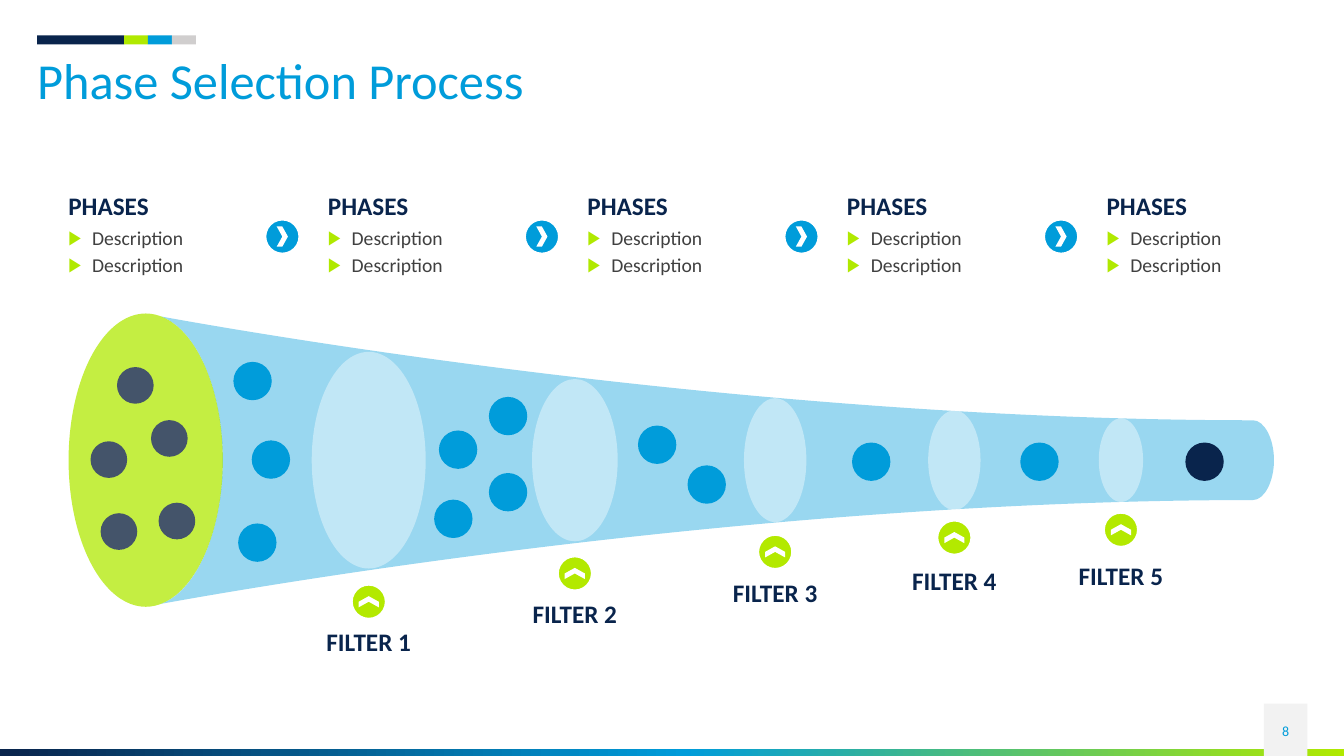
from copy import deepcopy

from pptx import Presentation
from pptx.dml.color import RGBColor
from pptx.enum.shapes import MSO_SHAPE
from pptx.enum.text import MSO_ANCHOR, MSO_AUTO_SIZE, PP_ALIGN
from pptx.oxml.ns import qn
from pptx.oxml.xmlchemy import OxmlElement
from pptx.util import Pt

RECTANGLE, OVAL, CHEVRON = MSO_SHAPE.RECTANGLE, MSO_SHAPE.OVAL, MSO_SHAPE.CHEVRON
LEFT, CENTER = PP_ALIGN.LEFT, PP_ALIGN.CENTER
TOP, MIDDLE = MSO_ANCHOR.TOP, MSO_ANCHOR.MIDDLE

COLORS = {
    "navy": "09244C", "blue": "009CDA", "lime": "B0E900", "marker": "B3E900",
    "silver": "D0CECE", "pale": "F2F2F2", "slate": "44546A", "text": "404040",
    "white": "FFFFFF",
}
FORMATS = {
    "title": {"size": Pt(36), "bold": False, "color": "blue"},
    "heading": {"size": Pt(18), "bold": True, "color": "navy"},
    "item": {"size": Pt(14), "bold": False, "color": "text"},
    "number": {"size": Pt(10), "bold": False, "color": "blue"},
}

AXIS = 328.7  # height of the funnel's centre line
PHASE_COUNT, PHASE_STEP = 5, 185.4
IDEAS = [(96.7, 275.3), (121, 313.2), (126.4, 372.2), (77.8, 328.3), (85, 379.7)]
CANDIDATES = [
    (193.5, 328.3), (180.4, 272.2), (183.8, 387.6), (742.5, 329.8),
    (622.3, 329.8), (504.8, 346.1), (469.4, 317.7), (327.2, 321.2),
    (362.9, 297.2), (362.9, 351.6), (323.8, 370.6),
]
SELECTED = (860.4, 329.8)
# centre x, lens width, lens height, marker centre y, label top
FILTERS = [
    (263.4, 81.4, 154.8, 429.8, 450),
    (410.6, 61.2, 115.9, 409.6, 429.8),
    (553.7, 44.6, 88.6, 394.2, 414.7),
    (681.7, 37.4, 71.3, 384, 406),
    (800.7, 31.7, 59.8, 378.4, 402.5),
]
# upper half of the funnel: start, then two controls and an end per curve
FUNNEL_START = (159.1, AXIS)
FUNNEL_CURVES = [
    [(159.1, 277.9), (140.4, 235.4), (115.2, 226.1)],
    [(182.2, 238.3), (538.6, 300.2), (895, 300.2)],
    [(903, 300.2), (910, 313.2), (910, AXIS)],
]


class SlideBuilder:
    def __init__(self, slide, font="Calibri"):
        self.slide = slide
        self.font = font

    def color(self, name):
        return RGBColor.from_string(COLORS[name])

    def paint(self, shape, fill, alpha=None, line=None):
        shape.shadow.inherit = False
        shape.fill.solid()
        shape.fill.fore_color.rgb = self.color(fill)
        if alpha:
            opacity = OxmlElement("a:alpha")
            opacity.set("val", str(alpha * 1000))
            shape._element.spPr.find(qn("a:solidFill"))[0].append(opacity)
        if line:
            shape.line.color.rgb = self.color(line)
            shape.line.width = Pt(2.25)
        else:
            shape.line.fill.background()
        return shape

    def shape(self, kind, left, top, width, height, fill, **style):
        shape = self.slide.shapes.add_shape(kind, Pt(left), Pt(top), Pt(width), Pt(height))
        return self.paint(shape, fill, **style)

    def centered(self, kind, x, y, width, height, fill, **style):
        return self.shape(kind, x - width / 2, y - height / 2, width, height, fill, **style)

    def gradient_bar(self, left, top, width, height, stops):
        bar = self.shape(RECTANGLE, left, top, width, height, "blue")
        bar.fill.gradient()
        bar.fill.gradient_angle = 0
        stop_list = bar._element.spPr.find(qn("a:gradFill")).find(qn("a:gsLst"))
        while len(stop_list) < len(stops):
            stop_list.append(deepcopy(stop_list[0]))
        for stop, (position, name) in zip(bar.fill.gradient_stops, stops):
            stop.position = position
            stop.color.rgb = self.color(name)

    def curved_outline(self, start, curves, fill, alpha):
        """Closed outline whose segments are cubic curves."""
        builder = self.slide.shapes.build_freeform(Pt(start[0]), Pt(start[1]))
        builder.add_line_segments([(Pt(x), Pt(y)) for *_, (x, y) in curves], close=True)
        shape = builder.convert_to_shape()
        segments = list(shape._element.iter(qn("a:lnTo")))
        for segment, curve in zip(segments, curves):
            cubic = OxmlElement("a:cubicBezTo")
            for x, y in curve:
                point = OxmlElement("a:pt")
                point.set("x", str(Pt(x) - shape.left))
                point.set("y", str(Pt(y) - shape.top))
                cubic.append(point)
            segment.getparent().replace(segment, cubic)
        self.paint(shape, fill, alpha)

    def marker(self, x, y, fill, rotation=0):
        self.centered(OVAL, x, y, 25.2, 25.2, fill, line="white")
        self.centered(CHEVRON, x, y, 8, 14.4, "white").rotation = rotation

    def bullet(self, paragraph):
        properties = paragraph._p.get_or_add_pPr()
        properties.set("marL", str(Pt(17)))
        properties.set("indent", str(-Pt(17)))
        color = OxmlElement("a:buClr")
        value = OxmlElement("a:srgbClr")
        value.set("val", COLORS["lime"])
        color.append(value)
        typeface = OxmlElement("a:buFont")
        typeface.set("typeface", "Arial")
        character = OxmlElement("a:buChar")
        character.set("char", "▶")
        properties.extend([color, typeface, character])

    def no_bullet(self, paragraph):
        properties = paragraph._p.get_or_add_pPr()
        properties.set("marL", "0")
        properties.set("indent", "0")
        properties.append(OxmlElement("a:buNone"))

    def text(self, left, top, width, height, lines, holder=None, align=LEFT, anchor=TOP):
        """Write (text, format) lines in a placeholder or a new text box."""
        box = holder or self.slide.shapes.add_textbox(0, 0, 0, 0)
        place = {"left": left, "top": top, "width": width, "height": height}
        for name, value in place.items():
            setattr(box, name, Pt(value))
        frame = box.text_frame
        settings = {"margin_left": 0, "margin_top": 0, "margin_right": 0, "margin_bottom": 0,
                    "word_wrap": True, "auto_size": MSO_AUTO_SIZE.NONE,
                    "vertical_anchor": anchor}
        for name, value in settings.items():
            setattr(frame, name, value)
        for index, (content, format_name) in enumerate(lines):
            paragraph = frame.add_paragraph() if index else frame.paragraphs[0]
            paragraph.text = content
            is_item = format_name == "item"
            layout = {"level": int(is_item), "alignment": align,
                      "line_spacing": 1.0 if is_item else 0.9,
                      "space_before": Pt(3 if index else 0), "space_after": Pt(0)}
            for name, value in layout.items():
                setattr(paragraph, name, value)
            if is_item:
                self.bullet(paragraph)
            else:
                self.no_bullet(paragraph)
            font = paragraph.runs[0].font
            font.name = self.font
            for name, value in FORMATS[format_name].items():
                if name == "color":
                    font.color.rgb = self.color(value)
                else:
                    setattr(font, name, value)


def main():
    presentation = Presentation()
    presentation.slide_width, presentation.slide_height = Pt(960), Pt(540)
    slide = presentation.slides.add_slide(presentation.slide_layouts.get_by_name("Comparison"))
    builder = SlideBuilder(slide)
    title, *bodies = slide.placeholders

    # Frame: bottom bar, page number, accent stripe
    builder.gradient_bar(0, 535, 960, 5, [(0, "navy"), (0.51, "blue"), (1, "lime")])
    builder.shape(RECTANGLE, 902.9, 502.6, 31, 37.4, "pale")
    builder.text(902.9, 508.3, 31, 28.8, [("8", "number")], align=CENTER, anchor=MIDDLE)
    stripe_left = 26.5
    for name, width in [("navy", 62.1), ("lime", 17.1), ("blue", 17.1), ("silver", 17.1)]:
        builder.shape(RECTANGLE, stripe_left, 25.2, width, 6.5, name)
        stripe_left += width
    builder.text(26.5, 39.8, 907, 39.6, [("Phase Selection Process", "title")],
                 holder=title, anchor=MIDDLE)

    # Funnel: the lower half mirrors the upper one
    builder.shape(OVAL, 49, 223.9, 110.2, 209.5, "lime", alpha=74)
    upper = [FUNNEL_START] + [point for curve in FUNNEL_CURVES for point in curve]
    lower = [(x, 2 * AXIS - y) for x, y in reversed(upper[:-1])]
    mirrored_curves = [lower[first:first + 3] for first in range(0, len(lower), 3)]
    builder.curved_outline(FUNNEL_START, FUNNEL_CURVES + mirrored_curves, "blue", alpha=40)

    # Ideas moving through the funnel
    for x, y in IDEAS:
        builder.centered(OVAL, x, y, 26.2, 26.2, "slate")
    for x, y in CANDIDATES:
        builder.centered(OVAL, x, y, 27.4, 27.4, "blue")
    builder.centered(OVAL, *SELECTED, 27.4, 27.4, "navy")

    # Filters
    for number, (x, width, height, marker_y, label_top) in enumerate(FILTERS, 1):
        builder.centered(OVAL, x, AXIS, width, height, "white", alpha=40)
        builder.marker(x, marker_y, "marker", rotation=270)
        builder.text(x - 52.5, label_top, 105, 36, [(f"FILTER {number}", "heading")],
                     align=CENTER)

    # Phases: the layout has four bodies, the fifth is a text box
    phase_lines = [("PHASES", "heading"), ("Description", "item"), ("Description", "item")]
    for index in range(PHASE_COUNT):
        offset = index * PHASE_STEP
        holder = bodies[index] if index < len(bodies) else None
        builder.text(48.8 + offset, 138.6, 121, 65.5, phase_lines, holder=holder)
        if index < PHASE_COUNT - 1:
            builder.marker(201.7 + offset, 169, "blue")

    presentation.save("out.pptx")


if __name__ == "__main__":
    main()
